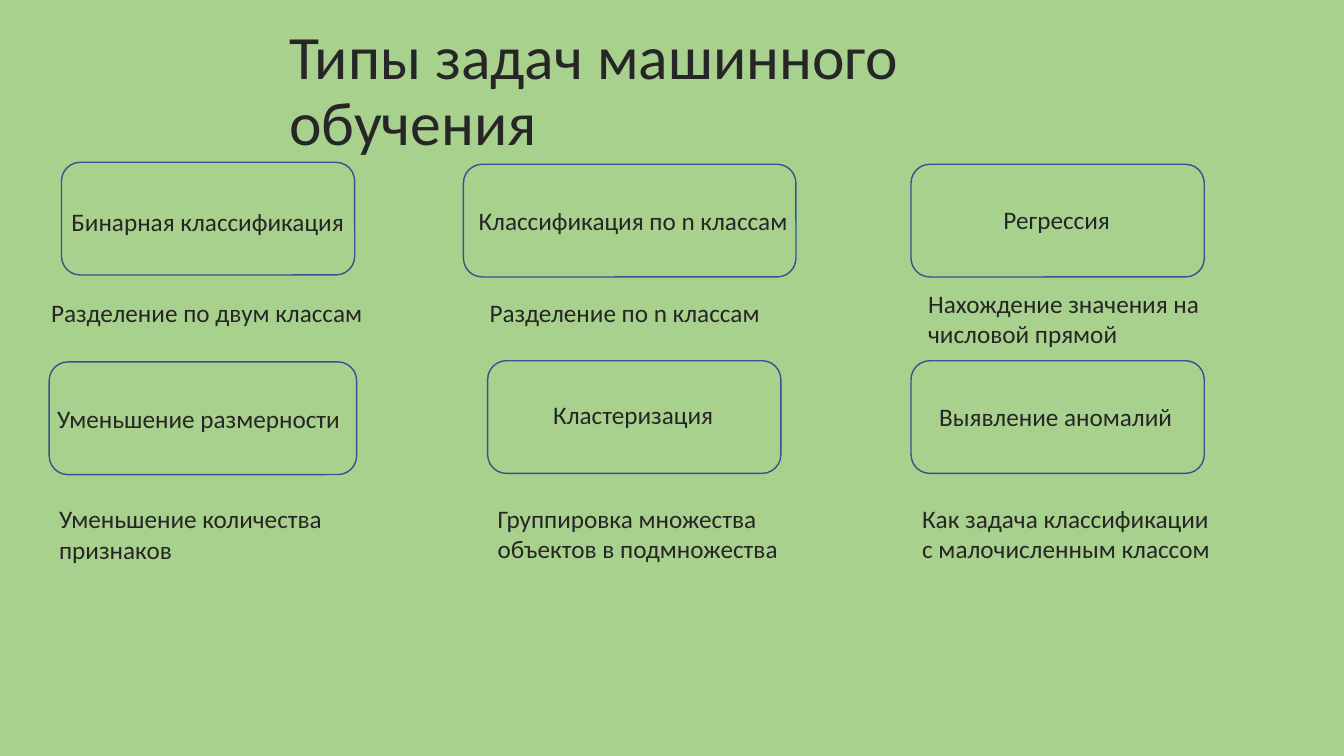
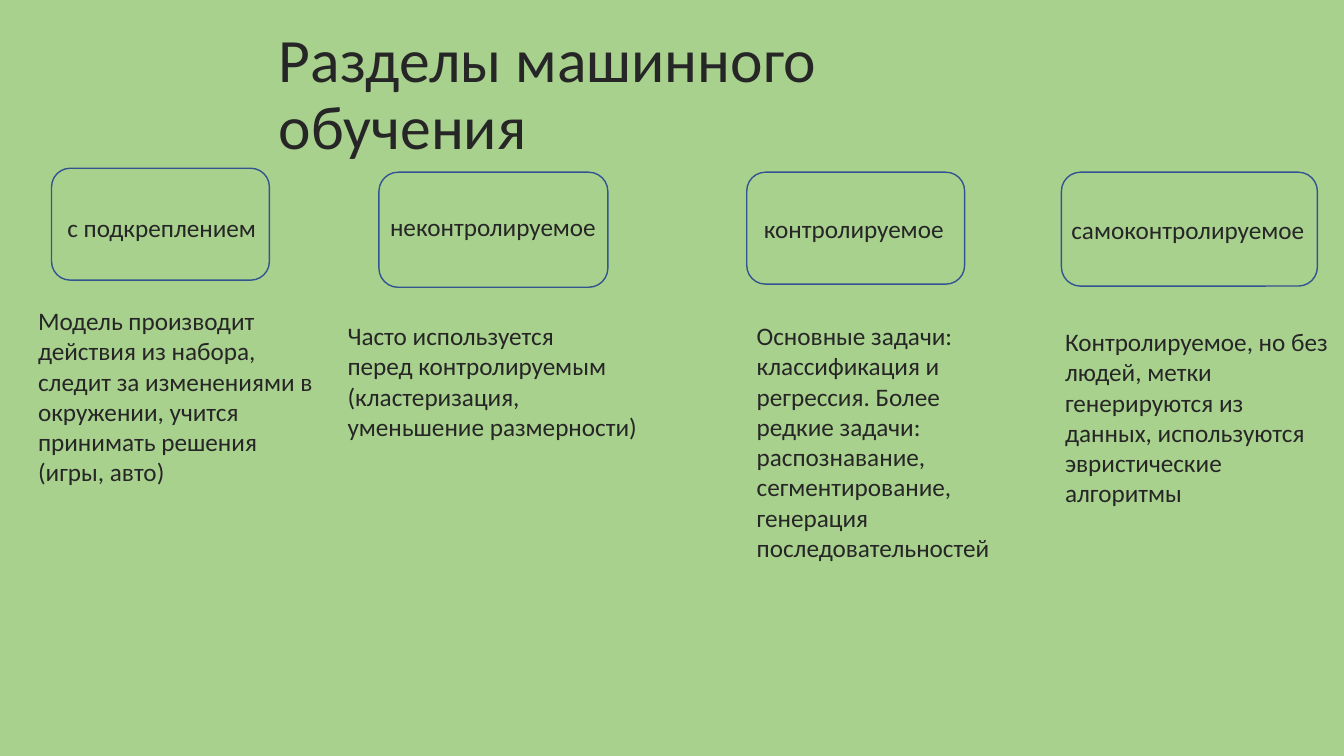
from dataclasses import dataclass
from pptx import Presentation
from pptx.dml.color import RGBColor as Rgb
from pptx.enum.shapes import MSO_SHAPE as Kind
from pptx.enum.text import MSO_ANCHOR as Anchor, MSO_AUTO_SIZE as Fit
from pptx.util import Cm, Pt


@dataclass(frozen=True)
class Theme:
    back: Rgb = Rgb.from_string("A9D18E")
    ink: Rgb = Rgb.from_string("262626")
    edge: Rgb = Rgb.from_string("325491")
    font: str = "Calibri"
    head: Pt = Pt(44)
    body: Pt = Pt(18)
    line: Pt = Pt(1)


theme = Theme()


def put_text(slide, box, paras, size=theme.body, wrap=False):
    frame = slide.shapes.add_textbox(*map(Cm, box)).text_frame
    frame.word_wrap = wrap
    frame.auto_size = Fit.SHAPE_TO_FIT_TEXT
    frame.text = "\n".join(paras)
    for para in frame.paragraphs:
        para.font.name = theme.font
        para.font.size = size
        para.font.color.rgb = theme.ink
    return frame


def put_card(slide, box):
    card = slide.shapes.add_shape(Kind.FLOWCHART_ALTERNATE_PROCESS, *map(Cm, box))
    card.shadow.inherit = False
    card.fill.background()
    card.line.color.rgb = theme.edge
    card.line.width = theme.line


# Lengths in cm. Each item: card box, label text and (left, top, width),
# note paragraphs, note (left, top, width) and its number of lines
tasks = [
    ((1.55, 4.09, 7.39, 2.84), "Бинарная классификация", (1.55, 5.08, 7.44),
     ["Разделение по двум классам"], (1.04, 7.37, 8.43), 1),
    ((11.68, 4.14, 8.38, 2.84), "Классификация по n классам", (11.81, 5.05, 8.38),
     ["Разделение по n классам"], (12.09, 7.37, 7.39), 1),
    ((22.96, 4.14, 7.39, 2.84), "Регрессия", (25.04, 5.03, 3.23),
     ["Нахождение значения на числовой прямой"], (23.14, 7.14, 9.37), 2),
    ((1.24, 9.12, 7.75, 2.84), "Уменьшение размерности", (1.19, 10.03, 7.72),
     ["Уменьшение количества признаков"], (1.24, 12.57, 7.75), 2),
    ((12.29, 9.09, 7.39, 2.84), "Кластеризация", (13.69, 9.93, 4.6),
     ["Группировка множества объектов в подмножества"], (12.29, 12.55, 7.9), 2),
    ((22.96, 9.09, 7.39, 2.84), "Выявление аномалий", (23.42, 9.98, 6.45),
     ["Как задача классификации с малочисленным классом"], (22.99, 12.55, 7.8), 2),
]
fields = [
    ((1.3, 4.24, 5.49, 2.82), "с подкреплением", (1.45, 5.23, 5.31),
     ["Модель производит действия из набора,",
      "следит за изменениями в окружении, учится принимать решения",
      "(игры, авто)"], (0.71, 7.57, 7.72), 6),
    ((9.55, 4.34, 5.77, 2.9), "неконтролируемое", (9.58, 5.21, 5.77),
     ["Часто используется", "перед контролируемым", "(кластеризация,",
      "уменьшение размерности)"], (8.51, 7.95, 7.9), 4),
    ((18.82, 4.34, 5.49, 2.82), "контролируемое", (19, 5.26, 5.11),
     ["Основные задачи: классификация и регрессия. Более редкие задачи: "
      "распознавание, сегментирование, генерация последовательностей"],
     (18.82, 7.95, 6.63), 8),
    ((26.75, 4.34, 6.45, 2.87), "самоконтролируемое", (26.75, 5.28, 6.45),
     ["Контролируемое, но без людей, метки генерируются из данных, "
      "используются эвристические алгоритмы"], (26.59, 8.1, 7.29), 6),
]
pages = [
    ("Типы задач машинного обучения", (7.04, 1.02, 21.8, 2.62), tasks),
    ("Разделы машинного обучения", (6.78, 0.99, 20.5, 2.87), fields),
]

# Deck with a shared background
deck = Presentation()
deck.slide_width, deck.slide_height = Cm(33.87), Cm(19.05)
fill = deck.slide_master.background.fill
fill.solid()
fill.fore_color.rgb = theme.back
blank = deck.slide_layouts[6]

for title, place, items in pages:
    slide = deck.slides.add_slide(blank)

    # Title
    frame = put_text(slide, place, [title], theme.head, wrap=True)
    frame.auto_size = Fit.NONE
    frame.vertical_anchor = Anchor.MIDDLE
    frame.paragraphs[0].line_spacing = 0.9

    # Cards with labels, and notes below them
    for card, label, spot, note, area, lines in items:
        put_card(slide, card)
        put_text(slide, (*spot, 1.02), [label])
        put_text(slide, (*area, 0.25 + 0.77 * lines), note, wrap=lines > len(note))

deck.save("out.pptx")
